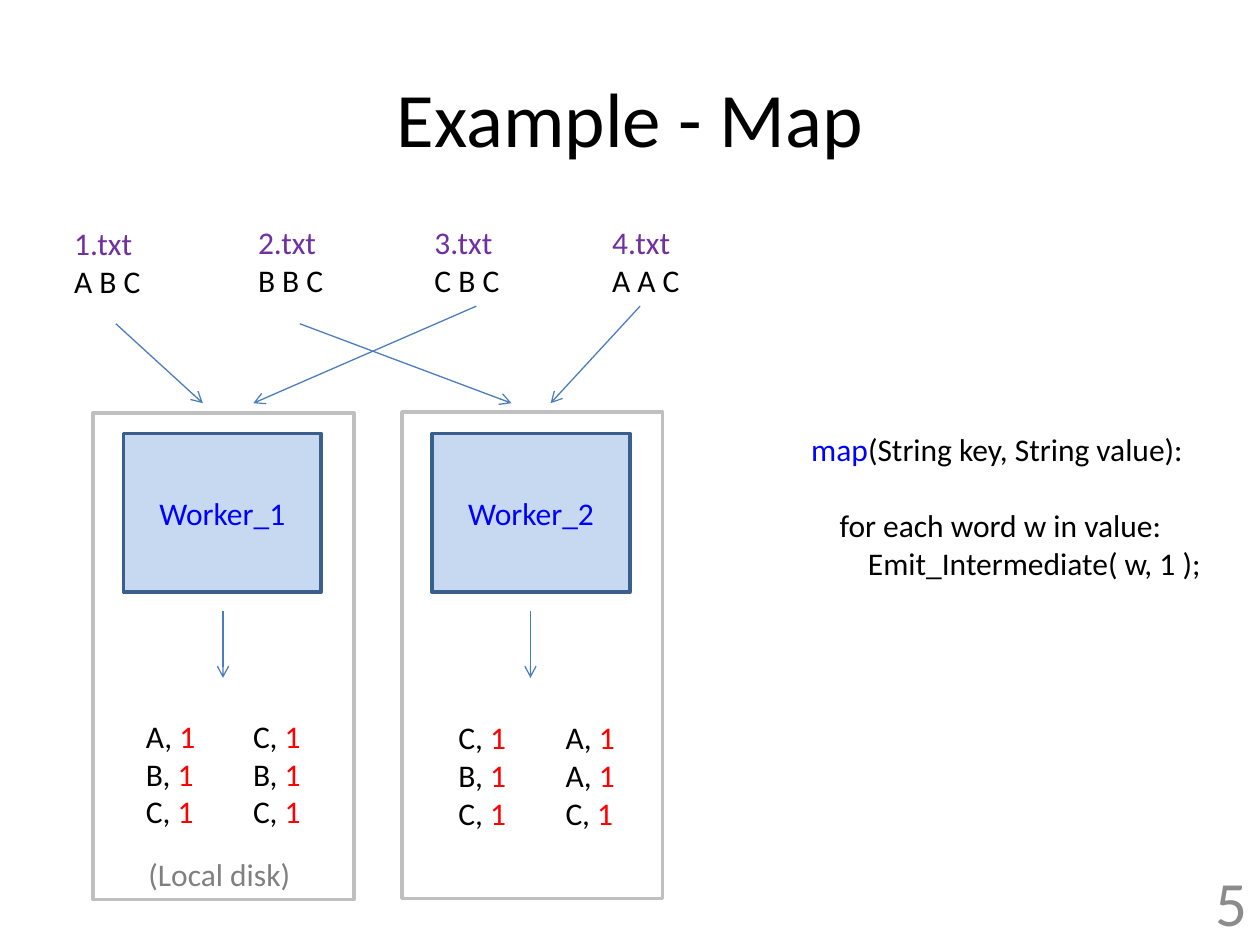
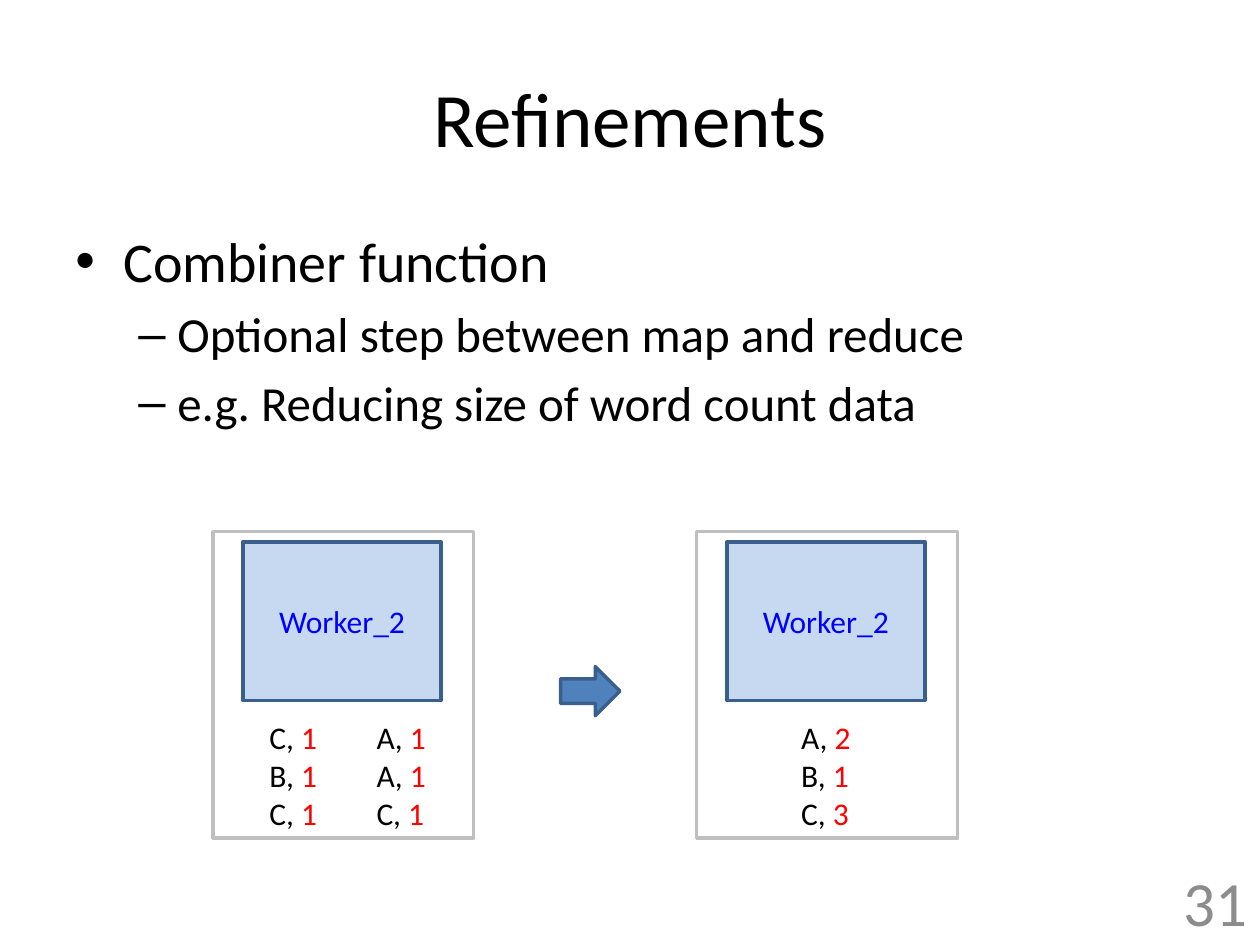
"""Build two slides on the map step and the combiner refinement."""
from lxml.etree import SubElement
from pptx import Presentation
from pptx.dml.color import RGBColor
from pptx.enum.shapes import MSO_CONNECTOR, MSO_SHAPE
from pptx.enum.text import MSO_ANCHOR as Anchor, PP_ALIGN as Align
from pptx.oxml.ns import qn
from pptx.util import Inches, Pt

BLACK = RGBColor(0x00, 0x00, 0x00)
BLUE = RGBColor(0x00, 0x00, 0xFF)
RED = RGBColor(0xFF, 0x00, 0x00)
PURPLE = RGBColor(0x70, 0x30, 0xA0)
GRAY = RGBColor(0x80, 0x80, 0x80)
NUMBER_GRAY = RGBColor(0x8C, 0x8C, 0x8C)
FRAME_GRAY = RGBColor(0xBF, 0xBF, 0xBF)
PALE_BLUE = RGBColor(0xC6, 0xD9, 0xF1)
MID_BLUE = RGBColor(0x4F, 0x81, 0xBD)
EDGE_BLUE = RGBColor(0x3A, 0x5F, 0x8C)
ARROW_BLUE = RGBColor(0x4B, 0x7E, 0xBC)

FONT = "Calibri"
WORKER_WIDTH, WORKER_HEIGHT = 1.57, 1.26
FRAME_WIDTH, FRAME_MARGIN = 2.07, 0.24
PAIR_WIDTH = 0.85


class Deck:
    """Hold the shared style and the slide being built."""

    def __init__(self):
        self.presentation = Presentation()
        self.presentation.slide_width = Inches(10)
        self.presentation.slide_height = Inches(7.5)
        self.slide = None

    def add_slide(self, title, number):
        self.slide = self.presentation.slides.add_slide(self.presentation.slide_layouts[5])
        placeholder = self.slide.shapes.title
        placeholder.left, placeholder.top = Inches(0.5), Inches(0.3)
        placeholder.width, placeholder.height = Inches(9), Inches(1.25)
        self.fill_text(placeholder.text_frame, [[(title, BLACK)]], 44, Align.CENTER, Anchor.MIDDLE)
        self.text(7.17, 6.95, 2.83, 0.4, [[(number, NUMBER_GRAY)]], 36, Align.RIGHT, Anchor.MIDDLE)

    def fill_text(self, frame, lines, size=18, align=Align.LEFT, anchor=Anchor.TOP):
        frame.word_wrap = True
        frame.vertical_anchor = anchor
        for index, line in enumerate(lines):
            paragraph = frame.add_paragraph() if index else frame.paragraphs[0]
            paragraph.alignment = align
            for words, color in line:
                run = paragraph.add_run()
                run.text = words
                run.font.name = FONT
                run.font.size = Pt(size)
                run.font.color.rgb = color

    def text(self, left, top, width, height, lines, *style):
        box = self.slide.shapes.add_textbox(
            Inches(left), Inches(top), Inches(width), Inches(height))
        self.fill_text(box.text_frame, lines, *style)
        return box.text_frame.paragraphs

    def indent(self, paragraph, margin, hanging=0.0, bullet=None):
        properties = paragraph._p.get_or_add_pPr()
        properties.set("marL", str(Inches(margin)))
        properties.set("indent", str(Inches(-hanging)))
        if bullet:
            SubElement(properties, qn("a:buFont")).set("typeface", "Arial")
            SubElement(properties, qn("a:buChar")).set("char", bullet)

    def bullets(self, left, top, width, height, items):
        lines = [[(words, BLACK)] for words, level in items]
        paragraphs = self.text(left, top, width, height, lines)
        levels = ((32, 0.38, 0.38, "•"), (28, 0.81, 0.31, "–"))
        for paragraph, (words, level) in zip(paragraphs, items):
            size, margin, hanging, bullet = levels[level]
            paragraph.runs[0].font.size = Pt(size)
            paragraph.space_before = Pt(size * 0.2)
            self.indent(paragraph, margin, hanging, bullet)

    def shape(self, kind, left, top, width, height, fill, line):
        shape = self.slide.shapes.add_shape(
            kind, Inches(left), Inches(top), Inches(width), Inches(height))
        shape.shadow.inherit = False
        if fill is None:
            shape.fill.background()
        else:
            shape.fill.solid()
            shape.fill.fore_color.rgb = fill
        shape.line.color.rgb = line
        shape.line.width = Pt(2)
        return shape

    def worker(self, name, left, top, frame_top, frame_height):
        self.shape(MSO_SHAPE.RECTANGLE, left - FRAME_MARGIN, frame_top,
                   FRAME_WIDTH, frame_height, None, FRAME_GRAY)
        box = self.shape(MSO_SHAPE.RECTANGLE, left, top,
                         WORKER_WIDTH, WORKER_HEIGHT, PALE_BLUE, EDGE_BLUE)
        self.fill_text(box.text_frame, [[(name, BLUE)]], 18, Align.CENTER, Anchor.MIDDLE)

    def pairs(self, left, top, *columns):
        for index, column in enumerate(columns):
            lines = [[(f"{word}, ", BLACK), (count, RED)] for word, count in column.split()]
            self.text(left + index * PAIR_WIDTH, top, PAIR_WIDTH, 1.01, lines)

    def arrow(self, start, end):
        connector = self.slide.shapes.add_connector(
            MSO_CONNECTOR.STRAIGHT, *map(Inches, start + end))
        connector.line.color.rgb = ARROW_BLUE
        connector.line.width = Pt(0.75)
        SubElement(connector.line._get_or_add_ln(), qn("a:tailEnd")).set("type", "arrow")
        SubElement(connector._element.spPr, qn("a:effectLst"))


def build_map_slide(deck):
    deck.add_slide("Example - Map", "5")
    files = (("1.txt", "A B C", 0.49, 1.73), ("2.txt", "B B C", 1.95, 1.72),
             ("3.txt", "C B C", 3.35, 1.72), ("4.txt", "A A C", 4.76, 1.72))
    for name, content, left, top in files:
        deck.text(left, top, 0.87, 0.71, [[(name, PURPLE)], [(content, BLACK)]])

    deck.worker("Worker_1", 0.98, 3.44, 3.28, 3.86)
    deck.worker("Worker_2", 3.43, 3.44, 3.27, 3.86)
    for start, end in (((0.92, 2.57), (1.61, 3.2)), ((2.38, 2.57), (4.06, 3.2)),
                       ((3.78, 2.43), (2.01, 3.2)), ((5.08, 2.43), (4.37, 3.2)),
                       ((1.77, 4.85), (1.77, 5.38)), ((4.21, 4.85), (4.21, 5.38))):
        deck.arrow(start, end)
    deck.pairs(1.06, 5.64, "A1 B1 C1", "C1 B1 C1")
    deck.pairs(3.54, 5.65, "C1 B1 C1", "A1 A1 C1")
    deck.text(1.08, 6.74, 1.8, 0.4, [[("(Local disk)", GRAY)]])

    code = deck.text(6.34, 3.36, 3.66, 1.31, [
        [("map", BLUE), ("(String key, String value):", BLACK)],
        [("for each word w in value:", BLACK)],
        [("Emit_Intermediate( w, 1 );", BLACK)]])
    for level, paragraph in enumerate(code):
        deck.indent(paragraph, level * 0.225)
    code[1].space_before = Pt(22)


def build_refinements_slide(deck):
    deck.add_slide("Refinements", "31")
    deck.bullets(0.5, 1.75, 9, 4.95, (
        ("Combiner function", 0),
        ("Optional step between map and reduce", 1),
        ("e.g. Reducing size of word count data", 1)))
    for left in (1.93, 5.77):
        deck.worker("Worker_2", left, 4.3, 4.22, 2.43)
    deck.pairs(2.04, 5.65, "C1 B1 C1", "A1 A1 C1")
    deck.pairs(6.26, 5.65, "A2 B1 C3")
    deck.shape(MSO_SHAPE.RIGHT_ARROW, 4.45, 5.29, 0.47, 0.39, MID_BLUE, EDGE_BLUE)


def main():
    deck = Deck()
    build_map_slide(deck)
    build_refinements_slide(deck)
    deck.presentation.save("out.pptx")


if __name__ == "__main__":
    main()
